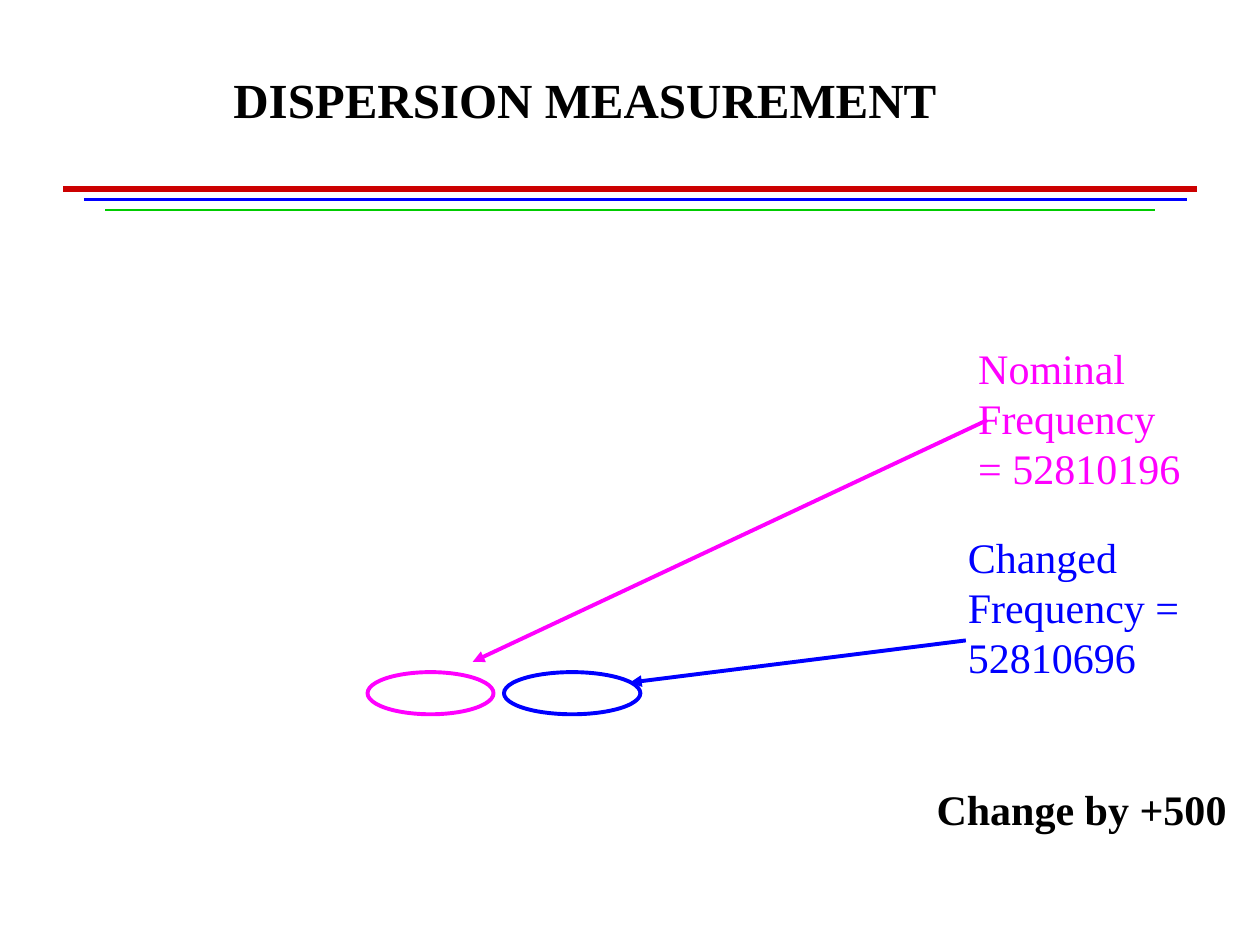
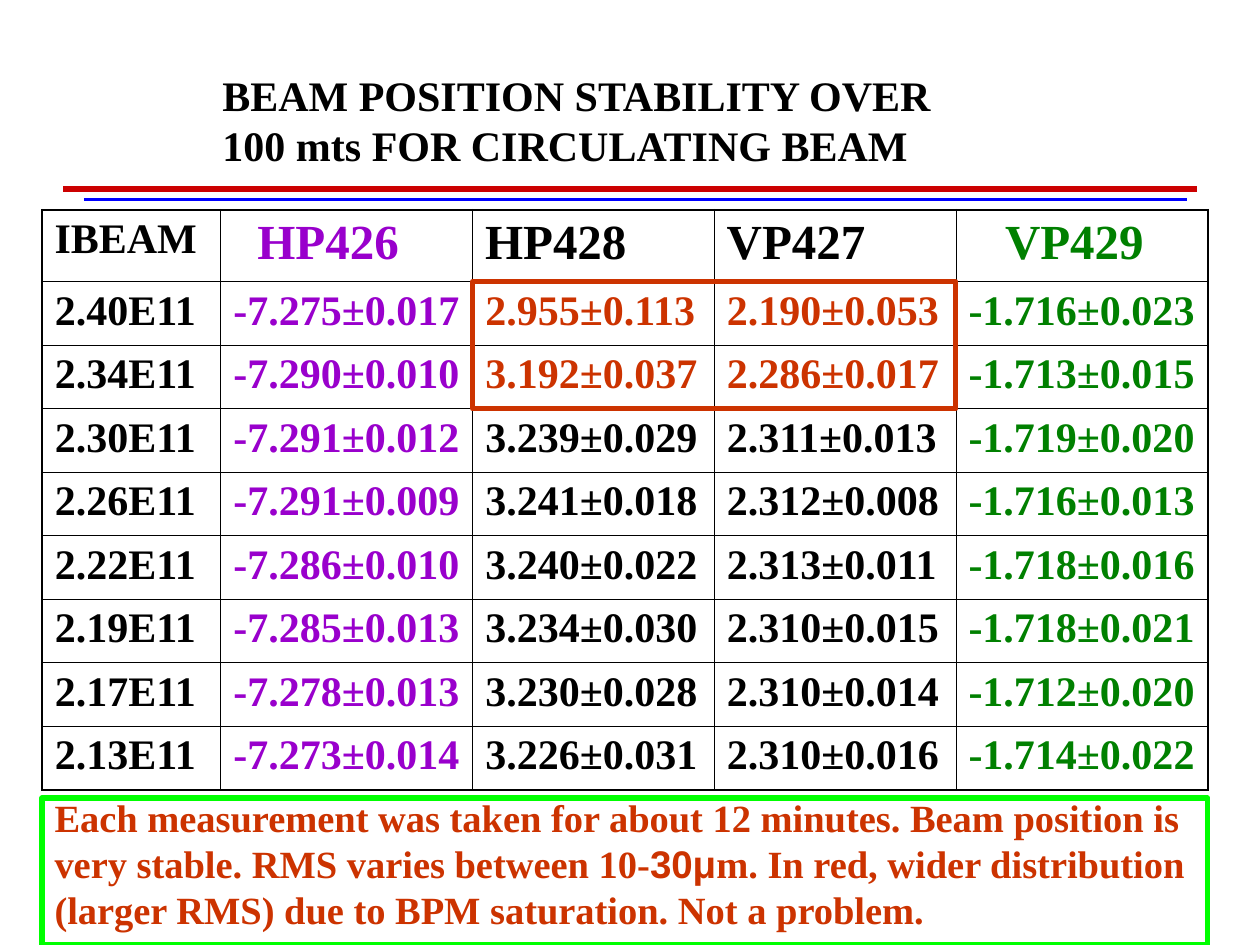
"""Builds two slides on dispersion and beam position stability."""
from dataclasses import dataclass

from lxml import etree
from pptx import Presentation
from pptx import util as u
from pptx.dml.color import RGBColor
from pptx.enum import shapes, text
from pptx.oxml.ns import qn


@dataclass(frozen=True)
class Theme:
    serif: str = "Times New Roman"
    sans: str = "Arial"
    black: str = "000000"
    magenta: str = "FF00FF"
    blue: str = "0000FF"
    red: str = "CC0000"
    rust: str = "CC3300"
    green: str = "008000"
    rule_green: str = "00CC00"
    lime: str = "00FF00"
    purple: str = "9900CC"
    heading: int = 28
    body: int = 24
    note: int = 22
    frame: float = 3
    pointer: float = 2.25
    outer_border: float = 1.08
    inner_border: float = 0.45


T = Theme()

RULES = [
    (1.27, 24.13, 3.81, T.red, 3),
    (1.69, 23.92, 4.02, T.blue, 1.5),
    (2.12, 23.28, 4.23, T.rule_green, 1),
]

DISPERSION_TITLE = ("DISPERSION MEASUREMENT", (4.45, 1.27, 15.03, 1.45), T.heading)
READINGS = [
    ("Nominal Frequency = 52810196", (19.47, 6.77, 4.66, 3.3), T.magenta, False),
    ("Changed Frequency = 52810696", (19.26, 10.58, 4.87, 4.85), T.blue, False),
    ("Change by +500", (18.63, 15.66, 6.77, 1.27), T.black, True),
]
MARKERS = [
    ((7.41, 13.55, 2.54, 0.85), T.magenta),
    ((10.16, 13.55, 2.75, 0.85), T.blue),
]
POINTERS = [
    ((19.9, 8.47, 9.53, 13.34), T.magenta),
    ((19.47, 12.91, 12.7, 13.76), T.blue),
]

STABILITY_TITLE = ("BEAM POSITION STABILITY OVER 100 mts FOR CIRCULATING BEAM",
                   (4.23, 1.27, 15.45, 2.29), T.body)
MONITORS = [
    ("IBEAM", 3.6, T.black, T.body, 0),
    ("HP426", 5.08, T.purple, T.heading, 0.49),
    ("HP428", 4.87, T.black, T.heading, 0),
    ("VP427", 4.87, T.black, T.heading, 0),
    ("VP429", 5.08, T.green, T.heading, 0.74),
]
POSITIONS = [
    ("2.40E11", "-7.275±0.017", "2.955±0.113", "2.190±0.053", "-1.716±0.023"),
    ("2.34E11", "-7.290±0.010", "3.192±0.037", "2.286±0.017", "-1.713±0.015"),
    ("2.30E11", "-7.291±0.012", "3.239±0.029", "2.311±0.013", "-1.719±0.020"),
    ("2.26E11", "-7.291±0.009", "3.241±0.018", "2.312±0.008", "-1.716±0.013"),
    ("2.22E11", "-7.286±0.010", "3.240±0.022", "2.313±0.011", "-1.718±0.016"),
    ("2.19E11", "-7.285±0.013", "3.234±0.030", "2.310±0.015", "-1.718±0.021"),
    ("2.17E11", "-7.278±0.013", "3.230±0.028", "2.310±0.014", "-1.712±0.020"),
    ("2.13E11", "-7.273±0.014", "3.226±0.031", "2.310±0.016", "-1.714±0.022"),
]
SATURATED_ROWS = (1, 2)
SATURATED_COLUMNS = (2, 3)
TABLE_LEFT, TABLE_TOP = 0.85, 4.23
HEADER_HEIGHT, ROW_HEIGHT = 1.45, 1.28

NOTE = [
    ("Each measurement was taken for about 12 minutes. Beam position is very stable. "
     "RMS varies between 10-", T.serif),
    ("30μ", T.sans),
    ("m. In red, wider distribution (larger RMS) due to BPM saturation. "
     "Not a problem.", T.serif),
]
NOTE_BOX = (0.85, 15.88, 23.5, 3.05)
NOTE_FRAME = (0.85, 16.09, 23.5, 2.96)


def apply(target, **values):
    for name, value in values.items():
        setattr(target, name, value)


def cm(lengths):
    return [u.Cm(length) for length in lengths]


def write(paragraph, wording, size, color, bold=True, face=T.serif):
    run = paragraph.add_run()
    run.text = wording
    apply(run.font, name=face, size=u.Pt(size), bold=bold)
    run.font.color.rgb = RGBColor.from_string(color)


def stroke(line, color, width):
    line.color.rgb = RGBColor.from_string(color)
    line.width = u.Pt(width)


def outline(slide, kind, box, color, width):
    figure = slide.shapes.add_shape(kind, *cm(box))
    figure.shadow.inherit = False
    figure.fill.background()
    stroke(figure.line, color, width)


def connect(slide, ends, color, width, arrow=False):
    connector = slide.shapes.add_connector(shapes.MSO_CONNECTOR.STRAIGHT, *cm(ends))
    stroke(connector.line, color, width)
    properties = connector._element.spPr
    if arrow:
        etree.SubElement(properties.find(qn("a:ln")), qn("a:tailEnd"), type="triangle")
    etree.SubElement(properties, qn("a:effectLst"))


def text_box(slide, box):
    frame = slide.shapes.add_textbox(*cm(box)).text_frame
    frame.word_wrap = True
    return frame.paragraphs[0]


def start_slide(deck, wording, box, size):
    slide = deck.slides.add_slide(deck.slide_layouts[5])
    for left, right, y, color, width in RULES:
        connect(slide, (left, y, right, y), color, width)

    title = slide.shapes.title
    apply(title, **dict(zip(("left", "top", "width", "height"), cm(box))))
    apply(title.text_frame, word_wrap=True, auto_size=text.MSO_AUTO_SIZE.NONE,
          vertical_anchor=text.MSO_ANCHOR.TOP)
    title.text_frame.paragraphs[0].alignment = text.PP_ALIGN.LEFT
    write(title.text_frame.paragraphs[0], wording, size, T.black)
    return slide


def border(cell, outer_sides):
    properties = cell._tc.get_or_add_tcPr()
    for place, side in enumerate("LRTB"):
        width = T.outer_border if side in outer_sides else T.inner_border
        edge = etree.Element(qn(f"a:ln{side}"), w=str(u.Pt(width)))
        fill = etree.SubElement(edge, qn("a:solidFill"))
        etree.SubElement(fill, qn("a:srgbClr"), val=T.black)
        properties.insert(place, edge)


def add_positions(slide):
    names, widths, colors, sizes, indents = zip(*MONITORS)
    rows = [names, *POSITIONS]
    heights = [HEADER_HEIGHT] + [ROW_HEIGHT] * len(POSITIONS)
    box = (TABLE_LEFT, TABLE_TOP, sum(widths), sum(heights))
    table = slide.shapes.add_table(len(rows), len(names), *cm(box)).table
    apply(table, first_row=False, horz_banding=False)
    for column, width in zip(table.columns, widths):
        column.width = u.Cm(width)
    for r, (row, height) in enumerate(zip(rows, heights)):
        table.rows[r].height = u.Cm(height)
        for c, wording in enumerate(row):
            cell = table.cell(r, c)
            cell.fill.background()
            saturated = r in SATURATED_ROWS and c in SATURATED_COLUMNS
            write(cell.text_frame.paragraphs[0], wording, T.body if r else sizes[c],
                  T.rust if saturated else colors[c])
            if r == 0:
                cell.margin_left = u.Cm(0.25 + indents[c])
            edges = {"L": c == 0, "R": c == len(names) - 1,
                     "T": r == 0, "B": r == len(rows) - 1}
            border(cell, [side for side, outer in edges.items() if outer])

    first_row, first_column = SATURATED_ROWS[0], SATURATED_COLUMNS[0]
    saturation = (TABLE_LEFT + sum(widths[:first_column]),
                  TABLE_TOP + sum(heights[:first_row]),
                  sum(widths[c] for c in SATURATED_COLUMNS),
                  sum(heights[r] for r in SATURATED_ROWS))
    outline(slide, shapes.MSO_SHAPE.RECTANGLE, saturation, T.rust, T.frame)


def build_dispersion(deck):
    slide = start_slide(deck, *DISPERSION_TITLE)
    for box, color in MARKERS:
        outline(slide, shapes.MSO_SHAPE.OVAL, box, color, T.pointer)
    for wording, box, color, bold in READINGS:
        write(text_box(slide, box), wording, T.body, color, bold)
    for ends, color in POINTERS:
        connect(slide, ends, color, T.pointer, arrow=True)


def build_stability(deck):
    slide = start_slide(deck, *STABILITY_TITLE)
    add_positions(slide)
    note = text_box(slide, NOTE_BOX)
    for wording, face in NOTE:
        write(note, wording, T.note, T.rust, face=face)
    outline(slide, shapes.MSO_SHAPE.RECTANGLE, NOTE_FRAME, T.lime, T.frame)


def main():
    deck = Presentation()
    apply(deck, slide_width=u.Cm(25.4), slide_height=u.Cm(19.05))
    build_dispersion(deck)
    build_stability(deck)
    deck.save("out.pptx")


if __name__ == "__main__":
    main()
